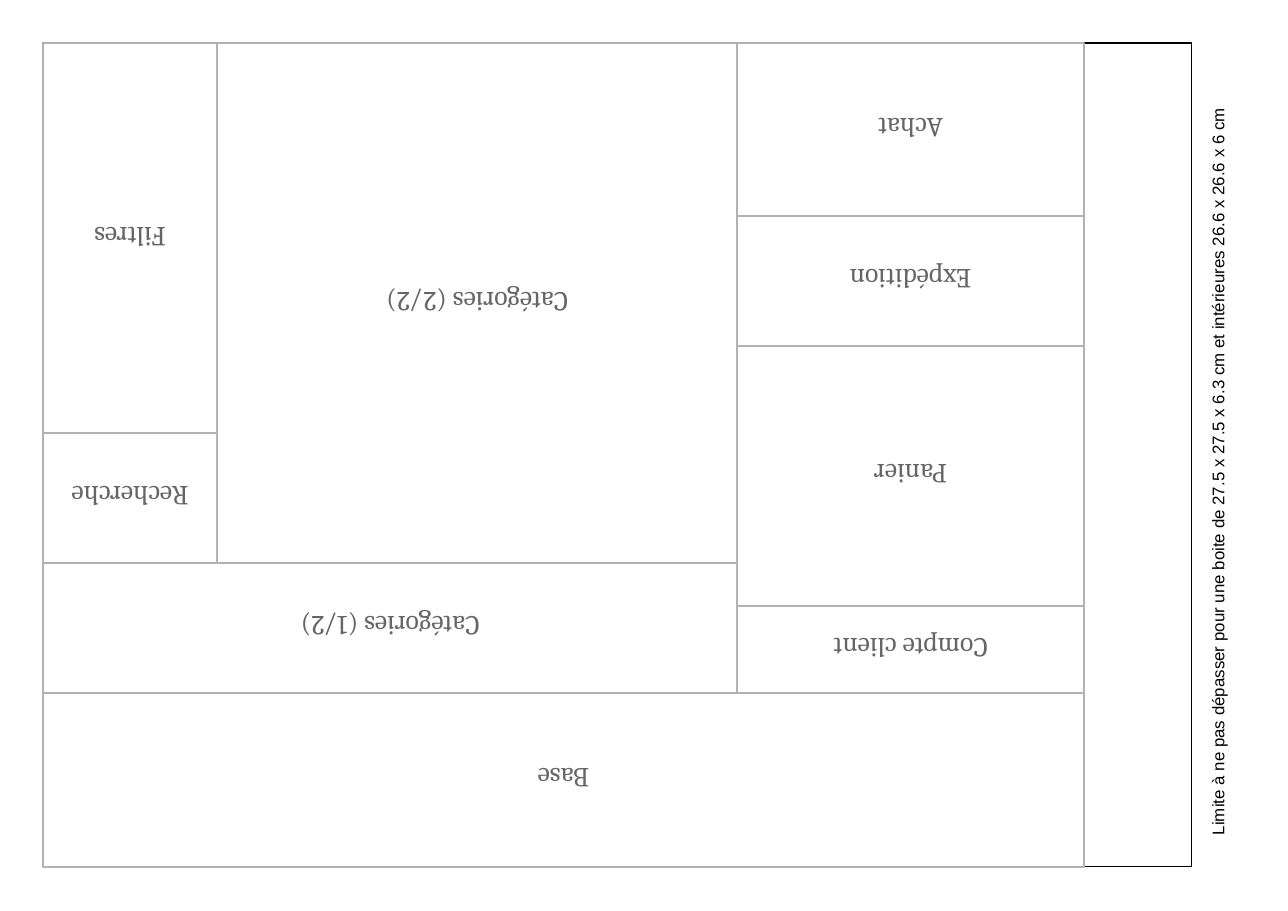
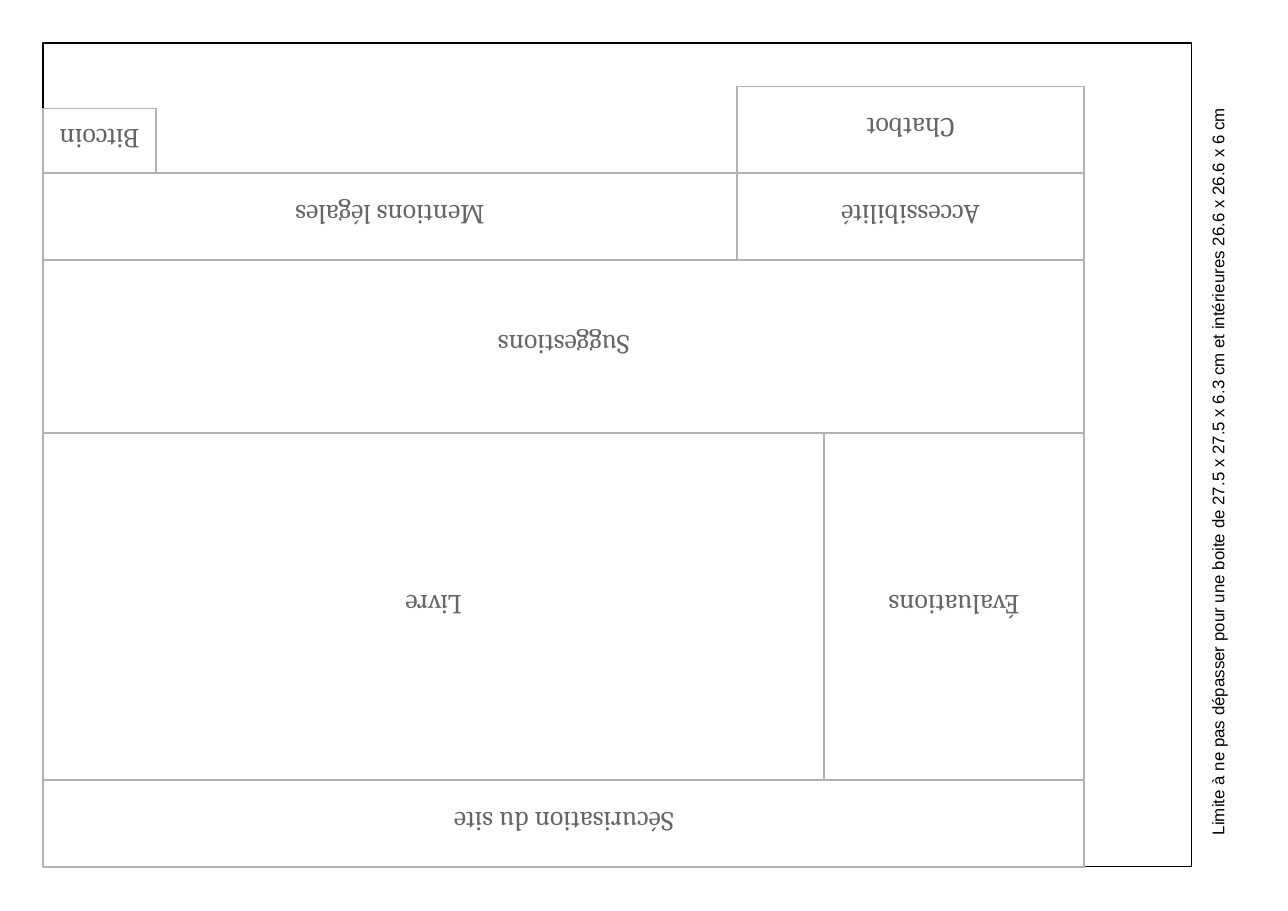
from pptx import Presentation
from pptx.dml.color import RGBColor
from pptx.enum.shapes import MSO_SHAPE
from pptx.enum.text import MSO_ANCHOR, PP_ALIGN
from pptx.util import Pt

PX = 8298  # EMU in one px
RECT = MSO_SHAPE.RECTANGLE
TOP, MIDDLE = MSO_ANCHOR.TOP, MSO_ANCHOR.MIDDLE
LEFT, CENTER = PP_ALIGN.LEFT, PP_ALIGN.CENTER

BLACK = RGBColor(0x00, 0x00, 0x00)
CELL_LINE = RGBColor(0xB2, 0xB2, 0xB2)
CELL_TEXT = RGBColor(0x66, 0x66, 0x66)

LIMIT = ("Limite à ne pas dépasser pour une boite de 27.5 x 27.5 x 6.3 cm "
         "et intérieures 26.6 x 26.6 x 6 cm")

# Column edges shared by both sheets
X0, X_RIGHT, X_END, X_LIMIT = 43, 737, 1084, 1192
Y0, Y_END = 43, 867

# Cells: label, left, top, right, bottom
SHEETS = [
    [
        ("Filtres", X0, Y0, 217, 433),
        ("Recherche", X0, 433, 217, 563),
        ("Catégories (1/2)", X0, 563, X_RIGHT, 693),
        ("Catégories (2/2)", 217, Y0, X_RIGHT, 563),
        ("Panier", X_RIGHT, 346, X_END, 606),
        ("Expédition", X_RIGHT, 216, X_END, 346),
        ("Achat", X_RIGHT, Y0, X_END, 216),
        ("Compte client", X_RIGHT, 606, X_END, 693),
        ("Base", X0, 693, X_END, Y_END),
    ],
    [
        ("Suggestions", X0, 260, X_END, 433),
        ("Livre", X0, 433, 824, 780),
        ("Évaluations", 824, 433, X_END, 780),
        ("Accessibilité", X_RIGHT, 173, X_END, 260),
        ("Sécurisation du site", X0, 780, X_END, Y_END),
        ("Mentions légales", X0, 173, X_RIGHT, 260),
        ("Chatbot", X_RIGHT, 86, X_END, 173),
        ("Bitcoin", X0, 108, 156, 173),
    ],
]


def write(tf, text, font="Cambria", size=18, color=CELL_TEXT,
          align=CENTER, anchor=MIDDLE):
    tf.word_wrap = True
    tf.vertical_anchor = anchor
    p = tf.paragraphs[0]
    p.alignment = align
    r = p.add_run()
    r.text = text
    r.font.name = font
    r.font.size = Pt(size)
    r.font.color.rgb = color


class Sheet:
    """A page of compartments inside the box limit."""

    def __init__(self, prs):
        self.s = prs.slides.add_slide(prs.slide_layouts[6])

    def outline(self, left, top, right, bottom, color):
        sp = self.s.shapes.add_shape(RECT, left * PX, top * PX,
                                     (right - left) * PX, (bottom - top) * PX)
        sp.shadow.inherit = False
        sp.fill.background()
        sp.line.color.rgb = color
        sp.line.width = 0
        return sp

    def limit(self):
        self.outline(X0, Y0, X_LIMIT, Y_END, BLACK)
        sp = self.s.shapes.add_textbox(833 * PX, 434 * PX, 781 * PX, 43 * PX)
        sp.rotation = 270
        write(sp.text_frame, LIMIT, font="Arial", size=11, color=BLACK,
              align=LEFT, anchor=TOP)

    def cell(self, label, left, top, right, bottom):
        sp = self.outline(left, top, right, bottom, CELL_LINE)
        sp.rotation = 180  # labels read from the opposite side
        write(sp.text_frame, label)


def main():
    prs = Presentation()
    prs.slide_width, prs.slide_height = 1288 * PX, 911 * PX
    for cells in SHEETS:
        sheet = Sheet(prs)
        sheet.limit()
        for cell in cells:
            sheet.cell(*cell)
    prs.save("out.pptx")


if __name__ == "__main__":
    main()
